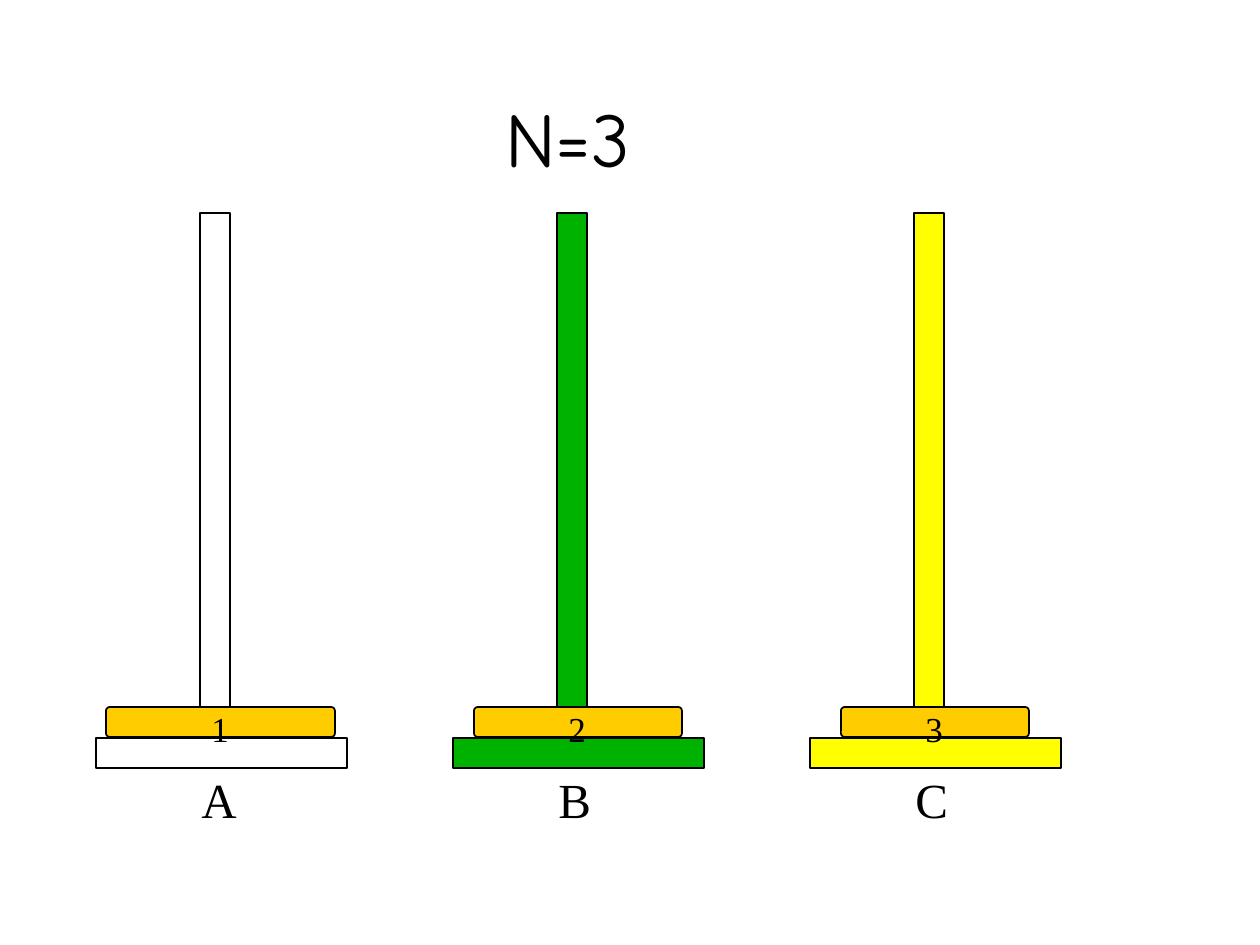
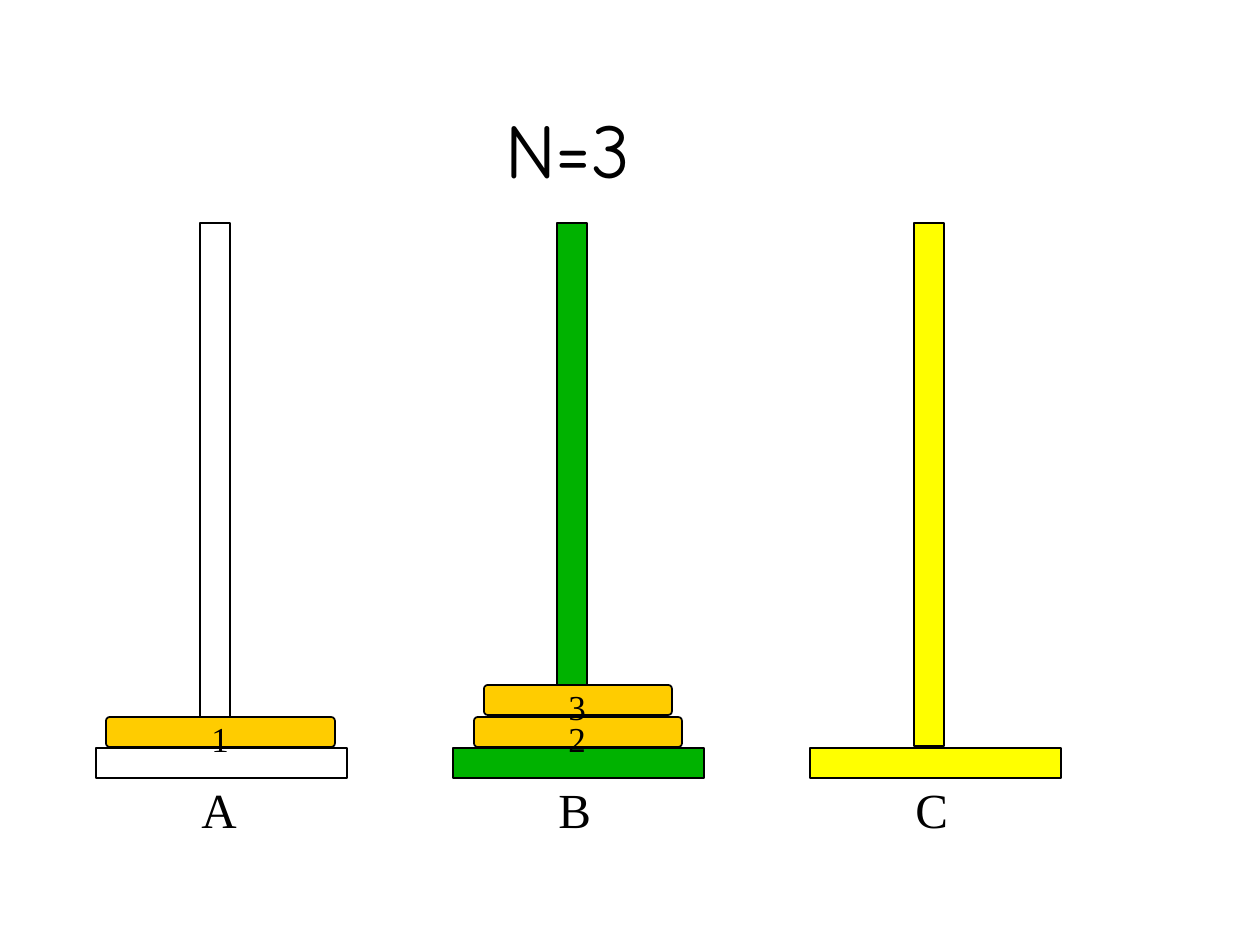
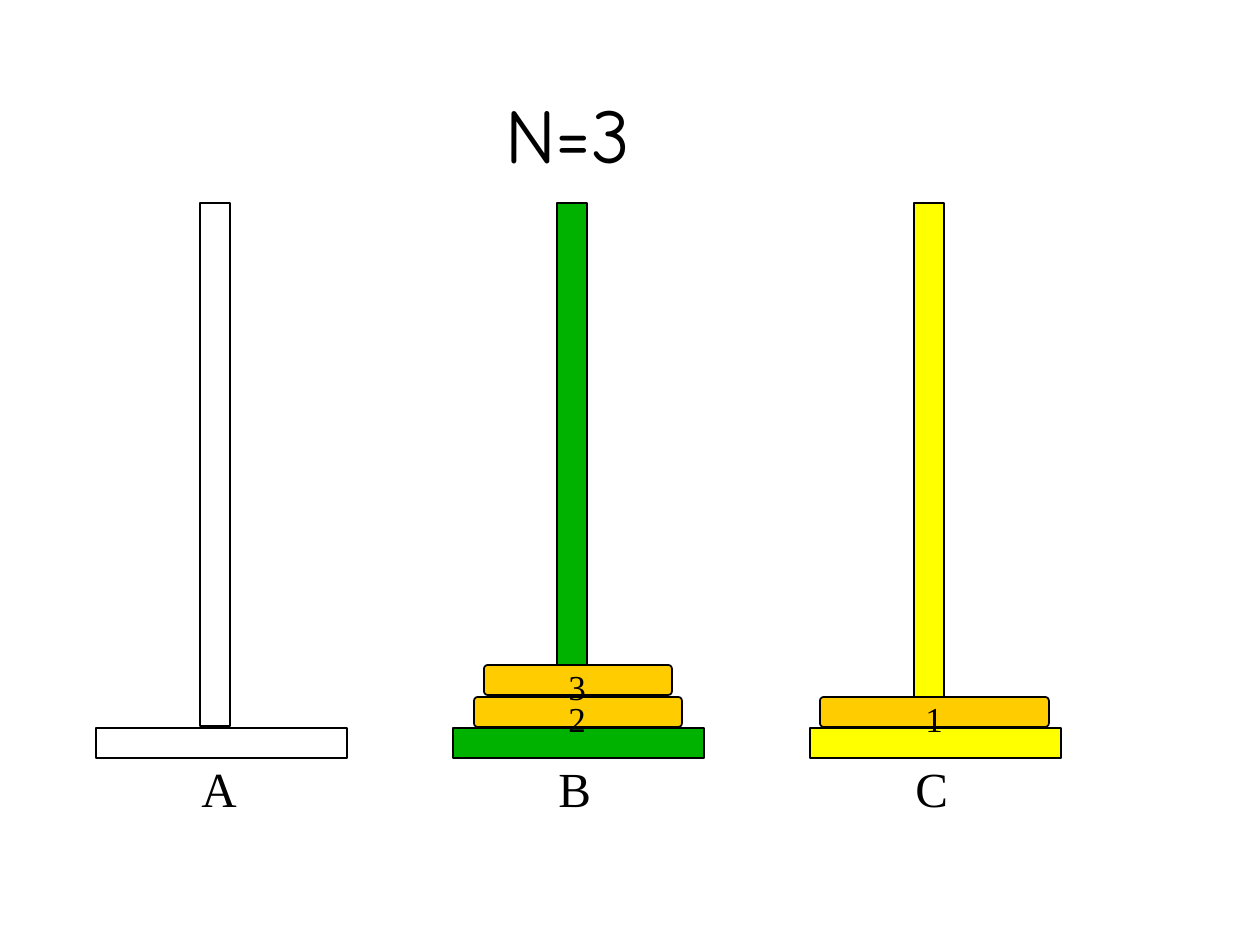
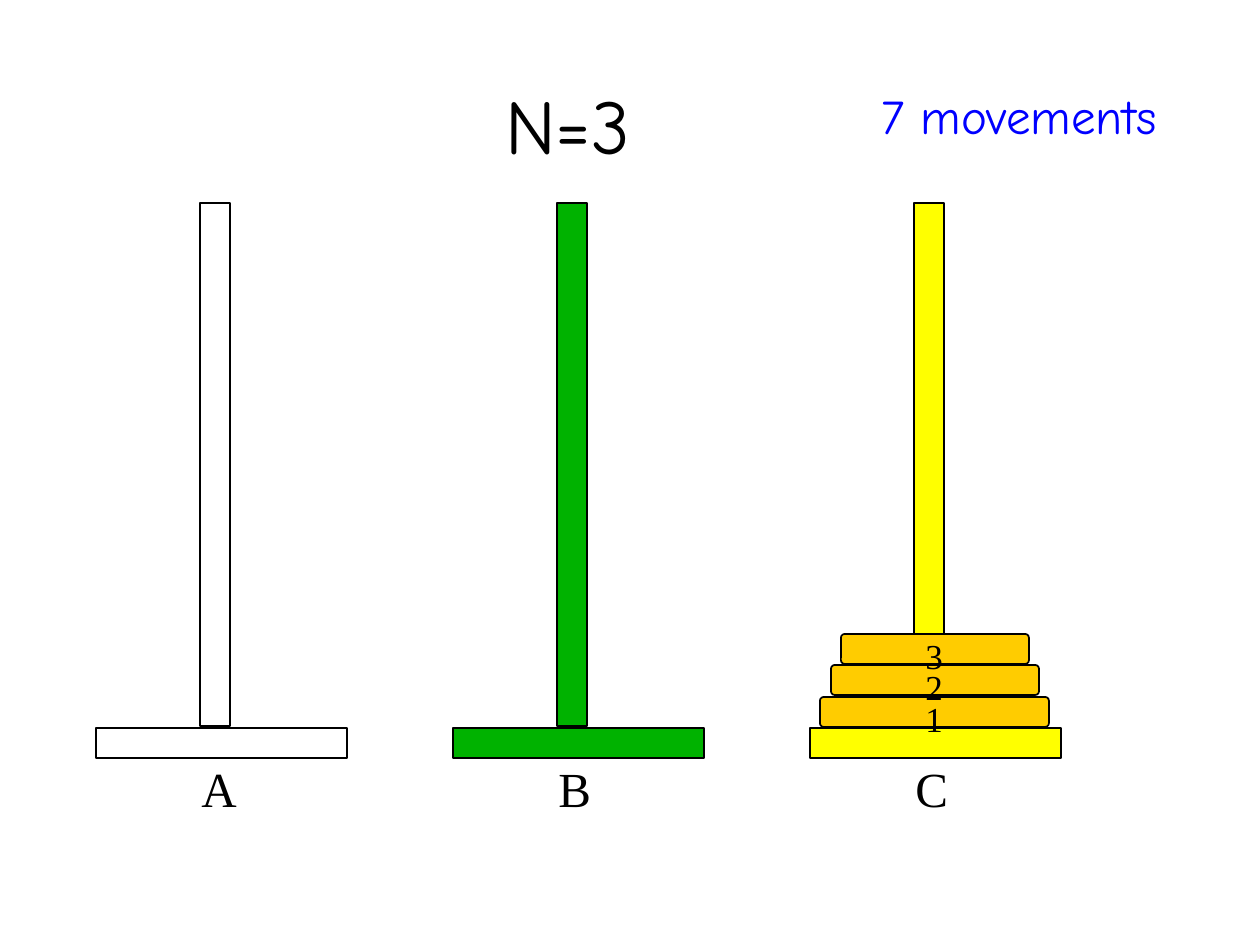
from pptx import Presentation
from pptx.dml.color import RGBColor
from pptx.enum.shapes import MSO_SHAPE as SHAPE
from pptx.enum.text import MSO_ANCHOR as ANCHOR, PP_ALIGN as ALIGN
from pptx.util import Inches, Pt

PX = 7257  # EMU per pixel, 126 pixels to the inch
rgb = RGBColor.from_string
BLACK, BLUE, GOLD = "000000", "0000FF", "FFCC00"
SERIF, HAND = "Times New Roman", "Comic Neue"

# Pegs from left to right, and disk widths by number
pegs = [("A", "FFFFFF"), ("B", "00B200"), ("C", "FFFF00")]
peg_step = 357
disk_widths = {1: 229, 2: 208, 3: 188}

# Each state: title bottom, base top, disks on each peg from the bottom up
states = [
    (189, 738, [[1], [2], [3]]),
    (200, 748, [[1], [2, 3], []]),
    (185, 728, [[], [2, 3], [1]]),
    (176, 728, [[], [], [1, 2, 3]]),
]


def add_block(slide, kind, left, top, width, height, fill):
    block = slide.shapes.add_shape(kind, left * PX, top * PX, width * PX, height * PX)
    block.shadow.inherit = False
    block.fill.solid()
    block.fill.fore_color.rgb = rgb(fill)
    block.line.color.rgb = rgb(BLACK)
    block.line.width = Pt(1)
    return block


def add_text(slide, left, top, width, height, text, size, font=SERIF, color=BLACK, inset=11):
    frame = slide.shapes.add_textbox(left * PX, top * PX, width * PX, height * PX).text_frame
    frame.word_wrap = True
    frame.margin_top = inset * PX
    frame.text = text
    run = frame.paragraphs[0].runs[0]
    run.font.size, run.font.name = Pt(size), font
    run.font.color.rgb = rgb(color)


prs = Presentation()
prs.slide_width, prs.slide_height = Inches(10), Inches(7.5)

for title_bottom, base_top, stacks in states:
    slide = prs.slides.add_slide(prs.slide_layouts[5])

    # Title
    title = slide.shapes.title
    title.left, title.top = 95 * PX, 21 * PX
    title.width, title.height = 946 * PX, (title_bottom - 21) * PX
    title.text_frame.text = "N=3"
    title.text_frame.vertical_anchor = ANCHOR.BOTTOM
    heading = title.text_frame.paragraphs[0]
    heading.alignment = ALIGN.CENTER
    heading.runs[0].font.size, heading.runs[0].font.name = Pt(44), HAND
    heading.runs[0].font.color.rgb = rgb(BLACK)

    # Pegs with their bases and letters
    for column, (letter, color) in enumerate(pegs):
        shift = column * peg_step
        add_block(slide, SHAPE.RECTANGLE, 96 + shift, base_top, 251, 30, color)
        add_block(slide, SHAPE.RECTANGLE, 200 + shift, base_top - 525, 30, 523, color)
        add_text(slide, 189 + shift, base_top + 20, 126, 72, letter, 28)

    # Disks, stacked upwards and centred on their peg
    for column, stack in enumerate(stacks):
        shift = column * peg_step
        for level, number in enumerate(stack, start=1):
            width = disk_widths[number]
            left = 106 + shift + (disk_widths[1] - width + 1) // 2
            top = base_top - level * 63 // 2
            disk = add_block(slide, SHAPE.ROUNDED_RECTANGLE, left, top, width, 30, GOLD)
            disk.adjustments[0] = 0.125
            add_text(slide, 199 + shift, top - 11, 95, 54, str(number), 20)

# Number of moves, on the last slide
add_text(slide, 869, 79, 357, 72, "7 movements", 28, HAND, BLUE, inset=6)

prs.save("out.pptx")
